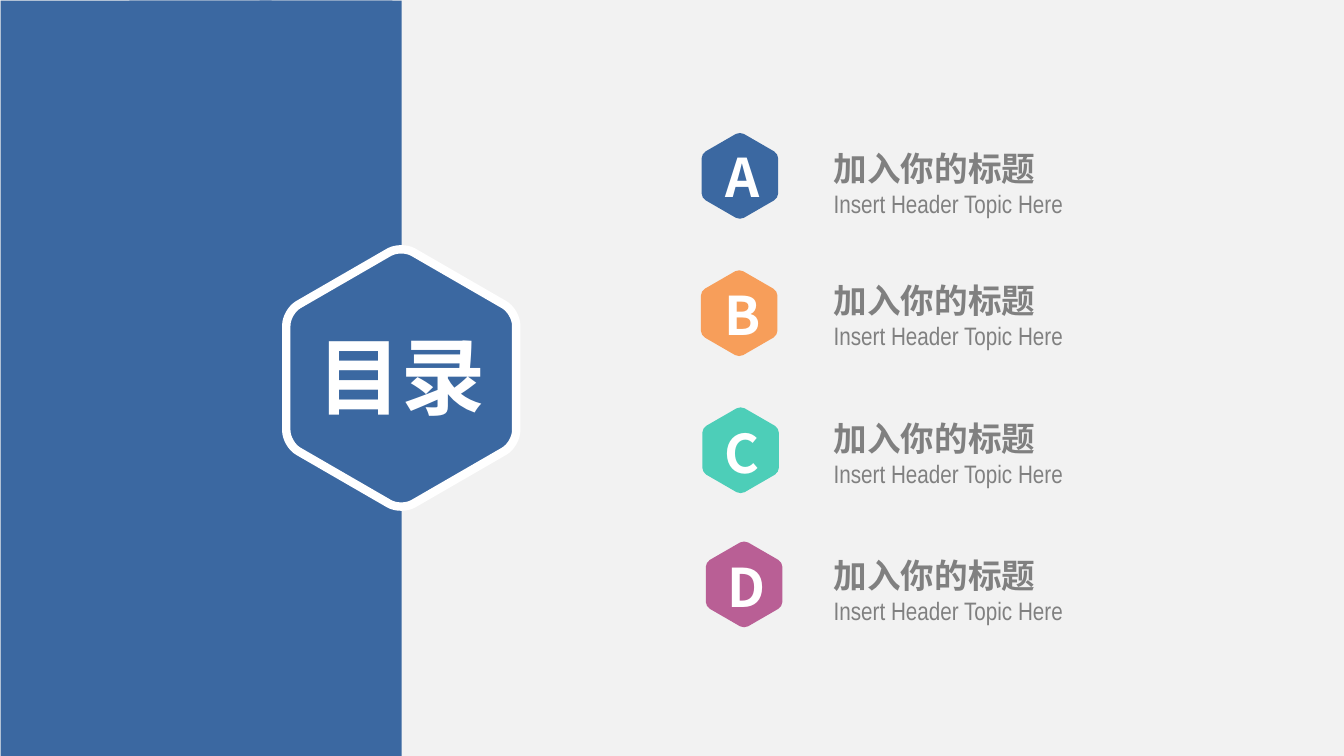
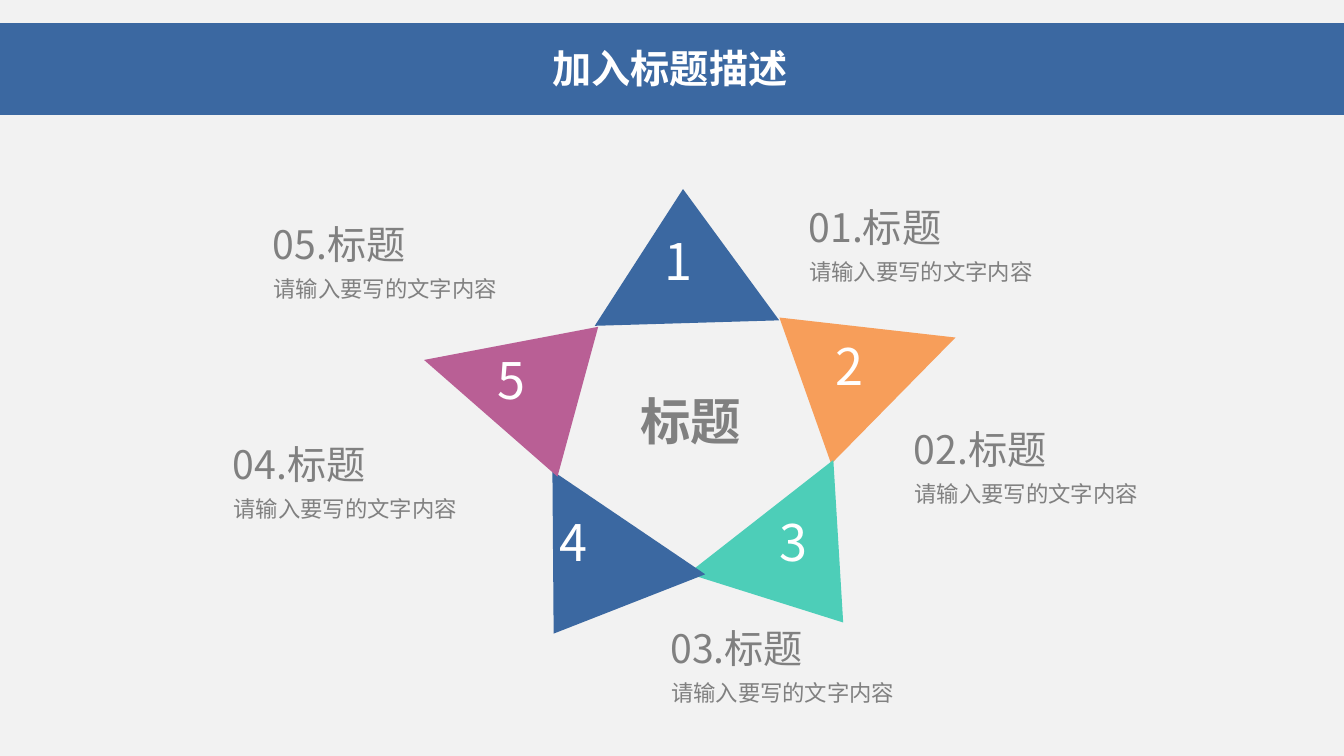
from math import cos, radians, sin

from lxml import etree
from pptx import Presentation
from pptx.dml.color import RGBColor
from pptx.enum.shapes import MSO_SHAPE as SHAPE
from pptx.enum.text import MSO_AUTO_SIZE as FIT, PP_ALIGN as ALIGN
from pptx.oxml.ns import qn
from pptx.util import Pt

BLUE, ORANGE, TEAL, PLUM = "3B68A1", "F79E5A", "4DCEB8", "B95F95"
WHITE, GREY, PAPER = "FFFFFF", "808080", "F2F2F2"
CJK, NARROW = "Noto Sans CJK SC", "Arial Narrow"
WIDTH, HEIGHT = 960, 540

TIGHT = (5, 3, 5, 3)
NORMAL = (7.2, 3.6, 7.2, 3.6)
FLUSH_LEFT = (0, 3.6, 7.2, 3.6)

CONTENTS_TITLE = "目录"
PANEL_STRIPS = [(0.4, 280), (92.5, 101.5), (185.4, 101.5)]  # left, width
ENTRY_LINES = [("加入你的标题", dict(size=24, bold=True)),
               ("Insert Header Topic Here", dict(size=18, font=NARROW))]
# letter, colour, hexagon centre, letter position, top of the text
ENTRIES = [
    ("A", BLUE, (528.5, 125.6), (496.1, 100.1), 102),
    ("B", ORANGE, (528, 223.7), (496.1, 198.9), 196.5),
    ("C", TEAL, (529, 321.6), (495.8, 297.1), 295),
    ("D", PLUM, (531.5, 417.4), (499, 392.9), 393),
]

STAR_TITLE = "加入标题描述"
STAR_CENTRE = "标题"
POINT_NAME, POINT_TEXT = "标题", "请输入要写的文字内容"
WIDE, TALL = (131.8, 95.8), (110.9, 113.8)
# colour, triangle position, size and rotation, number position, label position
STAR_POINTS = [
    (BLUE, (423.4, 135), WIDE, 358.3, (467.6, 160.9), (570.5, 141.5)),
    (ORANGE, (573.4, 203.2), TALL, 70.5, (589.7, 235.8), (645.7, 300.1)),
    (TEAL, (506.9, 359), WIDE, 142, (549.4, 361.4), (471.8, 442.4)),
    (BLUE, (356.4, 365), WIDE, 214.1, (392.4, 361.4), (159.3, 310.8)),
    (PLUM, (302.4, 215.1), TALL, 285.2, (348.5, 245.8), (187.9, 153.7)),
]


def rgb(value):
    return RGBColor.from_string(value)


def paint(sp, fill, line=None, weight=0):
    sp.shadow.inherit = False
    sp.fill.solid()
    sp.fill.fore_color.rgb = rgb(fill)
    if line:
        sp.line.color.rgb = rgb(line)
        sp.line.width = Pt(weight)
    else:
        sp.line.fill.background()
    return sp


def add_preset(s, kind, x, y, w, h, fill):
    return paint(s.shapes.add_shape(kind, Pt(x), Pt(y), Pt(w), Pt(h)), fill)


def add_run(p, text, size=16, font=CJK, color=GREY, bold=False):
    r = p.add_run()
    r.text = text
    f = r.font
    f.size, f.name, f.bold = Pt(size), font, bold
    f.color.rgb = rgb(color)
    etree.SubElement(r._r.get_or_add_rPr(), qn("a:ea"), typeface=CJK)


def add_text(s, lines, x, y, w, h, insets=NORMAL, align=ALIGN.LEFT, **style):
    """Add a text box; lines is one string or a list of (text, format) pairs."""
    if isinstance(lines, str):
        lines = [(lines, style)]
    tf = s.shapes.add_textbox(Pt(x), Pt(y), Pt(w), Pt(h)).text_frame
    tf.word_wrap = True
    tf.auto_size = FIT.SHAPE_TO_FIT_TEXT
    tf.margin_left, tf.margin_top, tf.margin_right, tf.margin_bottom = map(Pt, insets)
    for i, (text, fmt) in enumerate(lines):
        p = tf.add_paragraph() if i else tf.paragraphs[0]
        p.alignment = align
        add_run(p, text, **fmt)


def toward(start, end, share):
    return tuple(a + share * (b - a) for a, b in zip(start, end))


def add_hexagon(s, cx, cy, radius, fill, line=None, weight=0, trim=0.105, pull=0.55):
    """Add a pointy-top hexagon whose corners are rounded by cubic curves."""
    corners = [(cx + radius * sin(radians(a)), cy - radius * cos(radians(a)))
               for a in range(0, 360, 60)]
    outline, controls = [], []
    for i, corner in enumerate(corners):
        ends = [toward(corner, near, trim) for near in (corners[i - 1], corners[(i + 1) % 6])]
        outline += [tuple(map(Pt, end)) for end in ends]
        controls.append([toward(end, corner, pull) for end in ends])
    builder = s.shapes.build_freeform(*outline[0])
    builder.add_line_segments(outline[1:], close=True)
    sp = paint(builder.convert_to_shape(), fill, line, weight)

    # Every other straight segment cuts a corner: turn it into a curve.
    segments = list(sp._element.iter(qn("a:lnTo")))[::2]
    for segment, pair in zip(segments, controls):
        segment.tag = qn("a:cubicBezTo")
        for i, (x, y) in enumerate(pair):
            pt = etree.Element(qn("a:pt"), x=str(Pt(x) - sp.left), y=str(Pt(y) - sp.top))
            segment.insert(i, pt)


def add_contents_slide(prs):
    s = prs.slides.add_slide(prs.slide_layouts[6])
    for left, width in PANEL_STRIPS:
        add_preset(s, SHAPE.RECTANGLE, left, 0.4, width, HEIGHT, BLUE)
    add_hexagon(s, 286.6, 270, 94.8, BLUE, WHITE, 6)
    add_text(s, CONTENTS_TITLE, 183.6, 229, 206, 78.5, TIGHT, ALIGN.CENTER,
             size=60, color=WHITE, bold=True)
    for *_, top in ENTRIES:
        add_text(s, ENTRY_LINES, 595.5, top, 312, 58.3, FLUSH_LEFT)
    for letter, color, centre, letter_at, _ in ENTRIES:
        add_hexagon(s, *centre, 31.6, color)
        add_text(s, letter, *letter_at, 68.4, 51.8, TIGHT, ALIGN.CENTER,
                 size=38, color=WHITE, bold=True)


def add_star_slide(prs):
    s = prs.slides.add_slide(prs.slide_layouts[6])
    add_preset(s, SHAPE.RECTANGLE, 0, 16.5, WIDTH, 65.5, BLUE)
    add_text(s, STAR_TITLE, 0, 28.8, 957, 46, TIGHT, ALIGN.CENTER,
             size=28, color=WHITE, bold=True)
    for color, at, size, rotation, *_ in STAR_POINTS:
        add_preset(s, SHAPE.ISOSCELES_TRIANGLE, *at, *size, color).rotation = rotation
    for n, (*_, number_at, (x, y)) in enumerate(STAR_POINTS, 1):
        add_text(s, str(n), *number_at, 39.6, 51, size=36, color=WHITE)
        add_text(s, f"{n:02}.{POINT_NAME}", x, y, 302, 41, size=28)
        add_text(s, POINT_TEXT, x + 0.5, y + 39.4, 302, 26.6, size=16)
    add_text(s, STAR_CENTRE, 450.3, 275, 151, 51, size=36, bold=True)


def main():
    prs = Presentation()
    prs.slide_width, prs.slide_height = Pt(WIDTH), Pt(HEIGHT)
    backdrop = prs.slide_master.background.fill
    backdrop.solid()
    backdrop.fore_color.rgb = rgb(PAPER)
    add_contents_slide(prs)
    add_star_slide(prs)
    prs.save("out.pptx")


if __name__ == "__main__":
    main()
